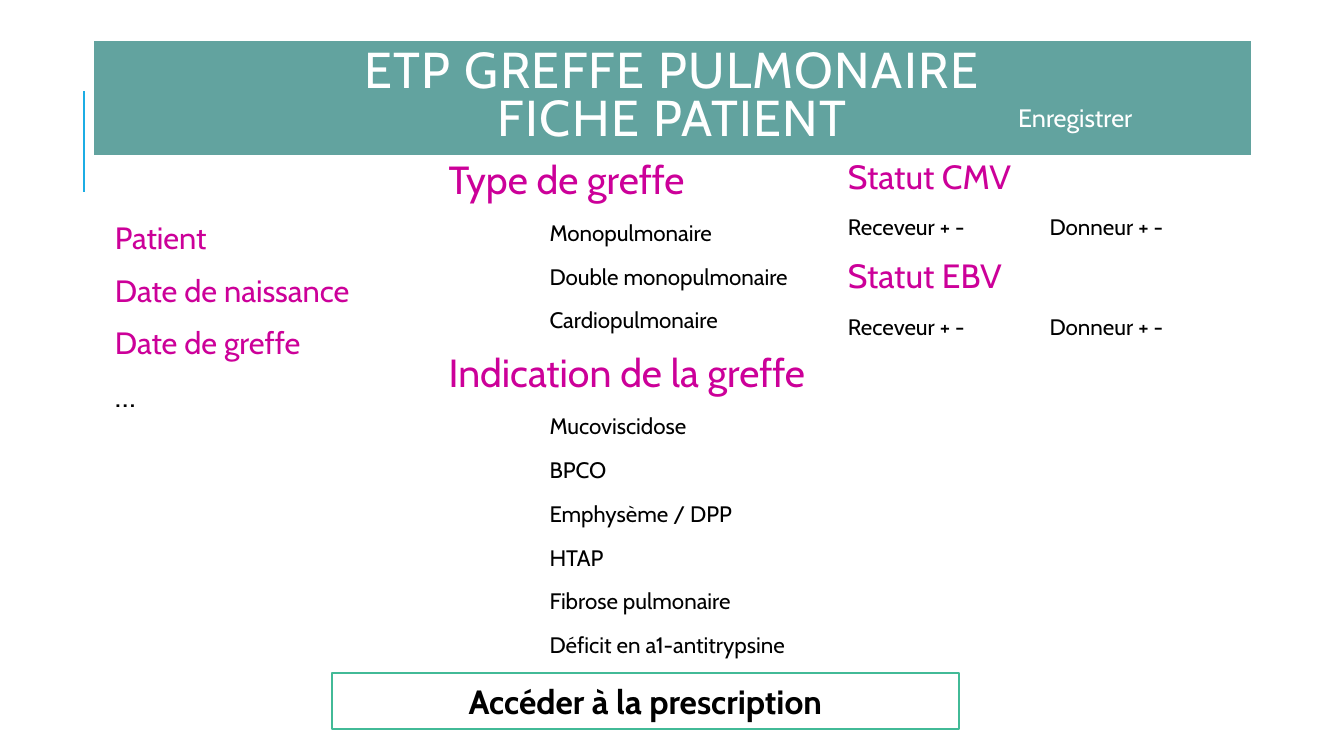
import pptx
import pptx.dml.color
import pptx.enum.shapes
import pptx.enum.text
import pptx.util
from lxml import etree
from pptx.oxml.ns import qn
from pptx.util import Inches

FONT = "Cabin"
WHITE, BLACK, PINK = "FFFFFF", "000000", "CC0099"
TEAL, GREEN, BLUE = "62A39F", "42BA97", "1CADE4"

PATIENT_FIELDS = [
    ("Patient", 22, PINK),
    ("Date de naissance", 22, PINK),
    ("Date de greffe", 22, PINK),
    ("…", 22, BLACK),
]
GRAFT_TYPES = ["Monopulmonaire", "Double monopulmonaire", "Cardiopulmonaire"]
INDICATIONS = ["Mucoviscidose", "BPCO", "Emphysème / DPP", "HTAP",
               "Fibrose pulmonaire", "Déficit en a1-antitrypsine"]
SEROLOGIES = ["Statut CMV", "Statut EBV"]


def rgb(hex_code):
    return pptx.dml.color.RGBColor.from_string(hex_code)


def add_run(paragraph, text, size, color, bold=False):
    run = paragraph.add_run()
    run.text = text
    run.font.name = FONT
    run.font.size = pptx.util.Pt(size)
    run.font.bold = bold
    run.font.color.rgb = rgb(color)
    return run


def add_panel(slide, box, fill, line, line_width):
    """Add a filled rectangle and return its centred first paragraph."""
    panel = slide.shapes.add_shape(
        pptx.enum.shapes.MSO_SHAPE.RECTANGLE, *map(Inches, box))
    panel.shadow.inherit = False
    panel.fill.solid()
    panel.fill.fore_color.rgb = rgb(fill)
    panel.line.color.rgb = rgb(line)
    panel.line.width = pptx.util.Pt(line_width)
    panel.text_frame.vertical_anchor = pptx.enum.text.MSO_ANCHOR.MIDDLE
    paragraph = panel.text_frame.paragraphs[0]
    paragraph.alignment = pptx.enum.text.PP_ALIGN.CENTER
    return paragraph


def add_text_frame(slide, box):
    frame = slide.shapes.add_textbox(*map(Inches, box)).text_frame
    frame.word_wrap = True
    return frame


def set_tab_stops(paragraph, positions):
    stops = etree.SubElement(paragraph._p.get_or_add_pPr(), qn("a:tabLst"))
    for position in positions:
        etree.SubElement(stops, qn("a:tab"), pos=str(Inches(position)), algn="l")


def add_entries(slide, box, entries, columns=1):
    """Add (text, size, colour) entries, one paragraph each."""
    frame = add_text_frame(slide, box)
    frame.margin_left = frame.margin_right = Inches(0.05)
    frame.margin_top = frame.margin_bottom = Inches(0.05)
    if columns > 1:
        frame._txBody.bodyPr.set("numCol", str(columns))
    for index, entry in enumerate(entries):
        paragraph = frame.add_paragraph() if index else frame.paragraphs[0]
        paragraph.line_spacing = 0.9
        paragraph.space_before = pptx.util.Pt(12)
        paragraph.space_after = pptx.util.Pt(2)
        text = entry[0]
        if "\t" in text:
            set_tab_stops(paragraph, [1] if text.startswith("\t") else [2])
        add_run(paragraph, *entry)


def add_accent_line(slide, x, top, bottom):
    accent = slide.shapes.add_connector(
        pptx.enum.shapes.MSO_CONNECTOR.STRAIGHT,
        Inches(x), Inches(bottom), Inches(x), Inches(top))
    accent.line.color.rgb = rgb(BLUE)
    accent.line.width = pptx.util.Pt(1.5)
    etree.SubElement(accent._element.spPr, qn("a:effectLst"))


def add_title(slide):
    title = add_panel(slide, (0.92, 0.4, 11.5, 1.15), TEAL, WHITE, 1.5)
    title.line_spacing = 0.8
    for index, text in enumerate(["ETP GREFFE PULMONAIRE", "FICHE PATIENT"]):
        if index:
            title.add_line_break()
        run = add_run(title, text, 36, WHITE)
        run.font._element.set("spc", "100")


def graft_entries():
    entries = []
    for heading, choices in [("Type de greffe", GRAFT_TYPES),
                             ("Indication de la greffe", INDICATIONS)]:
        entries.append((heading, 28, PINK))
        entries += [("\t" + choice, 16, BLACK) for choice in choices]
    for heading in SEROLOGIES:
        entries.append((heading, 24, PINK))
        entries.append(("Receveur + -\tDonneur + -", 16, BLACK))
    return entries


def main():
    deck = pptx.Presentation()
    deck.slide_width, deck.slide_height = Inches(13.33), Inches(7.5)
    slide = deck.slides.add_slide(deck.slide_layouts[6])

    add_accent_line(slide, 0.83, 0.9, 1.9)
    add_title(slide)
    add_entries(slide, (1.09, 2.16, 3.51, 3.41), PATIENT_FIELDS)
    add_entries(slide, (4.4, 1.54, 8.02, 5.13), graft_entries(), columns=2)
    prescription = add_panel(slide, (3.29, 6.68, 6.22, 0.55), WHITE, GREEN, 1.25)
    add_run(prescription, "Accéder à la prescription", 24, BLACK, bold=True)
    save_label = add_text_frame(slide, (10, 0.97, 2.68, 0.4))
    save_label.auto_size = pptx.enum.text.MSO_AUTO_SIZE.SHAPE_TO_FIT_TEXT
    add_run(save_label.paragraphs[0], "Enregistrer", 18, WHITE)

    deck.save("out.pptx")


if __name__ == "__main__":
    main()
